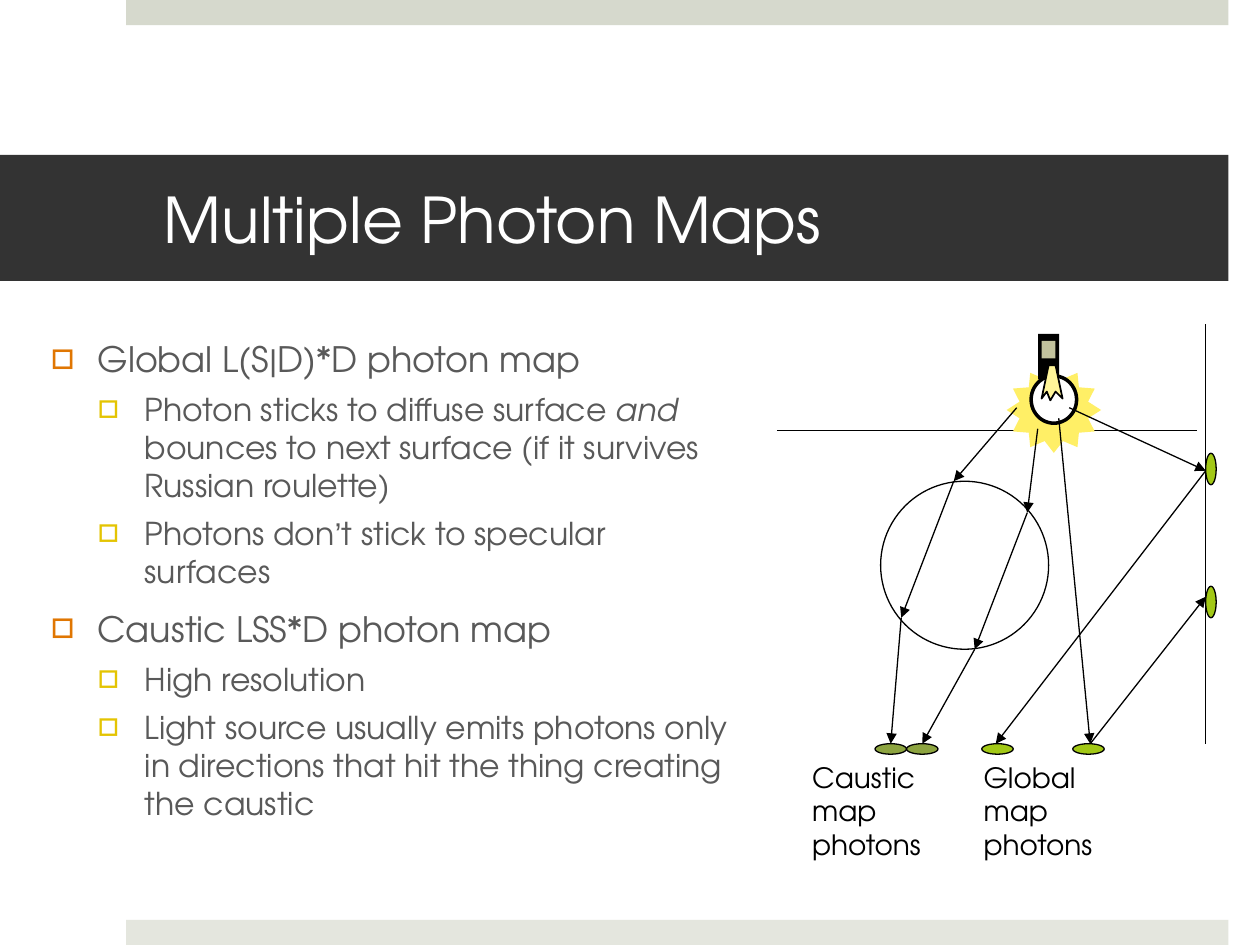
from itertools import pairwise

from lxml.etree import SubElement
from pptx import Presentation
from pptx.dml.color import RGBColor
from pptx.enum.shapes import MSO_CONNECTOR, MSO_SHAPE
from pptx.enum.text import MSO_ANCHOR, PP_ALIGN
from pptx.oxml.ns import qn
from pptx.util import Pt

FONT = "TeX Gyre Adventor"
COLORS = {
    "top bar": "D6D9CD", "bottom bar": "E4E6DE", "band": "333333",
    "white": "FFFFFF", "black": "000000", "body": "595959",
    "bullet": "E07602", "sub-bullet": "E4C402",
    "global": "A2C816", "caustic": "8DA440",
    "glow": "FFEF66", "filament": "FFF599", "cap": "C2C29D",
}

# level, then runs of (text, font, italic)
BODY = [
    (0, [("Global L(S|D)*D photon map", FONT, False)]),
    (1, [("Photon sticks to diffuse surface ", FONT, False),
         ("and", FONT, True),
         (" bounces to next surface (if it survives Russian roulette)", FONT, False)]),
    (1, [("Photons don", FONT, False), ("’", "Arial", False),
         ("t stick to specular surfaces", FONT, False)]),
    (0, [("Caustic LSS*D photon map", FONT, False)]),
    (1, [("High resolution", FONT, False)]),
    (1, [("Light source usually emits photons only in directions that hit "
          "the thing creating the caustic", FONT, False)]),
]
# size, space before, left indent, bullet colour
LEVELS = [(20, 10, 27, "bullet"), (18, 6, 54, "sub-bullet")]
HANGING = 27


def rgb(name):
    return RGBColor.from_string(COLORS[name])


def style_shape(shape, fill=None, line_width=0):
    shape.shadow.inherit = False
    if fill:
        shape.fill.solid()
        shape.fill.fore_color.rgb = rgb(fill)
    else:
        shape.fill.background()
    if line_width:
        shape.line.color.rgb = rgb("black")
        shape.line.width = Pt(line_width)
    else:
        shape.line.fill.background()


def add_preset(page, kind, left, top, width, height, fill=None, line_width=0):
    shape = page.shapes.add_shape(kind, Pt(left), Pt(top), Pt(width), Pt(height))
    style_shape(shape, fill, line_width)
    return shape


def add_span(para, text, size, color, font=FONT, italic=False):
    span = para.add_run()
    span.text = text
    span.font.name = font
    span.font.size = Pt(size)
    span.font.italic = italic
    span.font.color.rgb = rgb(color)


def add_line(page, start, end, arrow=False):
    line = page.shapes.add_connector(
        MSO_CONNECTOR.STRAIGHT, *(Pt(value) for value in (*start, *end)))
    line.line.color.rgb = rgb("black")
    line.line.width = Pt(0.75)
    if arrow:
        SubElement(line.line._get_or_add_ln(), qn("a:tailEnd"), type="triangle")
    SubElement(line._element.spPr, qn("a:effectLst"))


def add_title(page, left, top, width, height):
    band = add_preset(page, MSO_SHAPE.RECTANGLE, left, top, width, height, "band")
    frame = band.text_frame
    frame.word_wrap = True
    frame.vertical_anchor = MSO_ANCHOR.MIDDLE
    frame.margin_left, frame.margin_right = Pt(93.6), Pt(21.6)
    para = frame.paragraphs[0]
    para.alignment = PP_ALIGN.LEFT
    add_span(para, "Multiple Photon Maps", 36, "white")


def set_bullet(para, indent, color):
    props = para._p.get_or_add_pPr()
    props.set("marL", str(Pt(indent)))
    props.set("indent", str(-Pt(HANGING)))
    SubElement(SubElement(props, qn("a:buClr")), qn("a:srgbClr"), val=COLORS[color])
    SubElement(props, qn("a:buFont"), typeface=FONT)
    SubElement(props, qn("a:buChar"), char="□")


def add_body(page, left, top, width, height):
    frame = page.shapes.add_textbox(Pt(left), Pt(top), Pt(width), Pt(height)).text_frame
    frame.word_wrap = True
    for index, (level, spans) in enumerate(BODY):
        para = frame.add_paragraph() if index else frame.paragraphs[0]
        size, before, indent, color = LEVELS[level]
        para.level = level
        set_bullet(para, indent, color)
        if index:
            para.space_before = Pt(before)
        for text, font, italic in spans:
            add_span(para, text, size, "body", font, italic)


def add_bulb(page, left, top):
    add_preset(page, MSO_SHAPE.STAR_12_POINT, left, top + 19, 54, 49, "glow")
    add_preset(page, MSO_SHAPE.RECTANGLE, left + 18, top, 12, 26, "black")
    add_preset(page, MSO_SHAPE.RECTANGLE, left + 20, top + 4, 8, 10, "cap")
    add_preset(page, MSO_SHAPE.OVAL, left + 14, top + 24, 26, 27, "white", 2)
    builder = page.shapes.build_freeform(20, 37, scale=Pt(1))
    builder.add_line_segments([(24, 18), (28, 18), (32, 37), (28, 33), (25, 38), (23, 33)])
    style_shape(builder.convert_to_shape(Pt(left), Pt(top)), "filament", 1)


def add_label(page, left, top, width, height, lines):
    box = page.shapes.add_textbox(Pt(left), Pt(top), Pt(width), Pt(height))
    box.text_frame.word_wrap = True
    para = box.text_frame.paragraphs[0]
    for index, text in enumerate(lines):
        if index:
            para.add_line_break()
        add_span(para, text, 16, "black")


def add_photon_diagram(page, left, top, width, height):
    """Place the lit scene; width reaches the wall and height the floor."""
    def at(x, y):
        return left + x, top + y

    add_line(page, at(0, 61.2), at(width - 5, 61.2))
    add_line(page, at(width, height), at(width, 0))
    add_bulb(page, *at(131.2, 5.8))
    add_preset(page, MSO_SHAPE.OVAL, *at(59.2, 90), 96, 96, line_width=0.75)

    rays = [
        [(167, 48), (width, 84), (125, height)],
        [(137, 48), (101, 90), (71, 168), (65, height)],
        [(149, 60), (143, 108), (113, 186), (83, height)],
        [(161, 54), (179, height), (width, 156)],
    ]
    for ray in rays:
        for start, end in pairwise(ray):
            add_line(page, at(*start), at(*end), arrow=True)

    for x, color in [(56, "caustic"), (74, "caustic"), (117, "global"), (169, "global")]:
        add_preset(page, MSO_SHAPE.OVAL, *at(x, height), 18, 6, color, 0.75)
    for y in (74, 150):
        add_preset(page, MSO_SHAPE.OVAL, *at(width, y), 6, 18, "global", 0.75)

    for x, label_width, name in [(13, 94, "Caustic map"), (111, 90, "Global map")]:
        add_label(page, *at(x, height + 6), label_width, 50, [name, "photons"])


def main():
    deck = Presentation()
    deck.slide_width, deck.slide_height = Pt(720), Pt(540)
    page = deck.slides.add_slide(deck.slide_layouts[6])
    for top, color in [(0, "top bar"), (525.6, "bottom bar")]:
        add_preset(page, MSO_SHAPE.RECTANGLE, 72, top, 630, 14.4, color)
    add_title(page, 0, 88.5, 702, 72)
    add_body(page, 21.6, 189.4, 406.8, 288.7)
    add_photon_diagram(page, 444, 185, 245, 240)
    deck.save("out.pptx")


if __name__ == "__main__":
    main()
